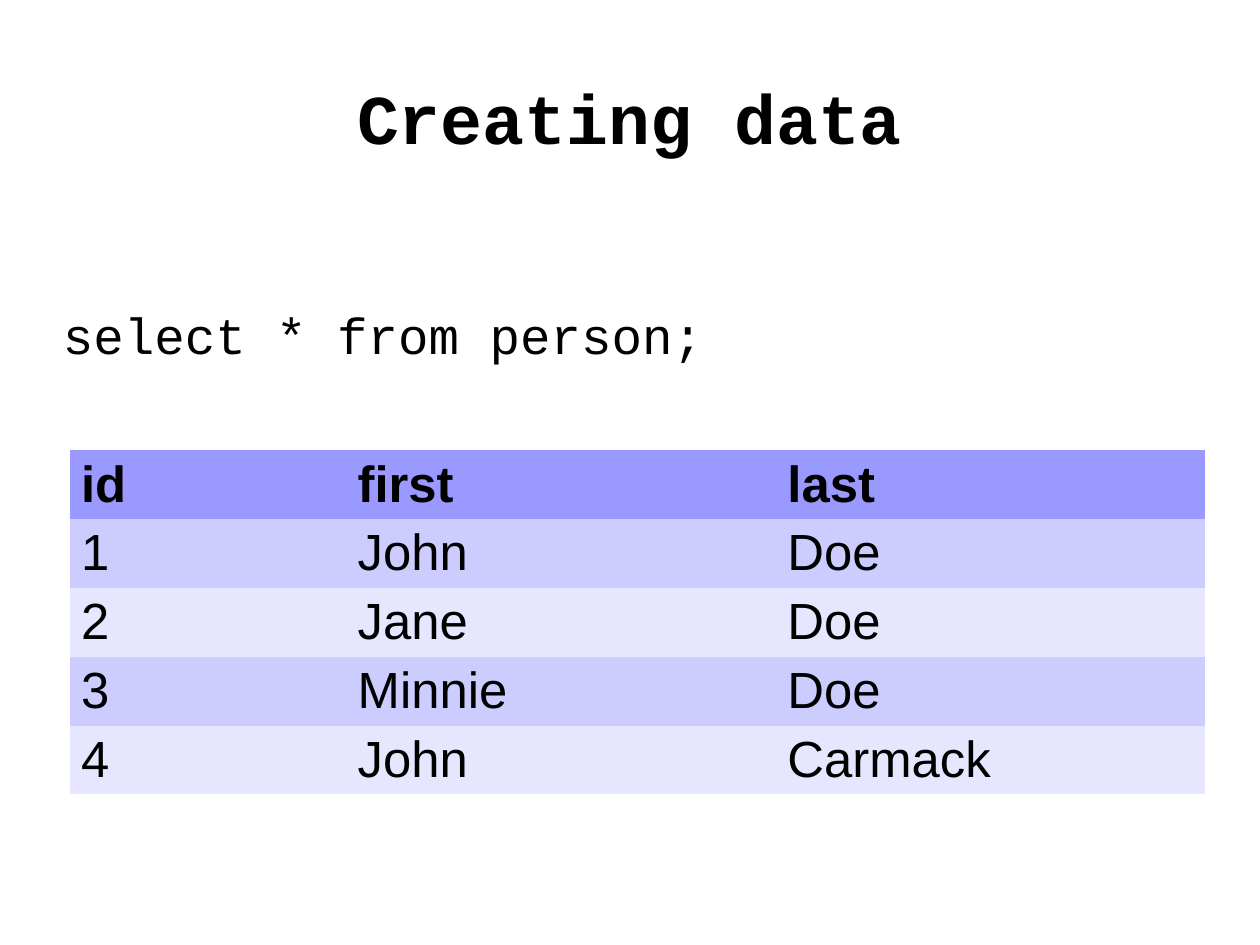
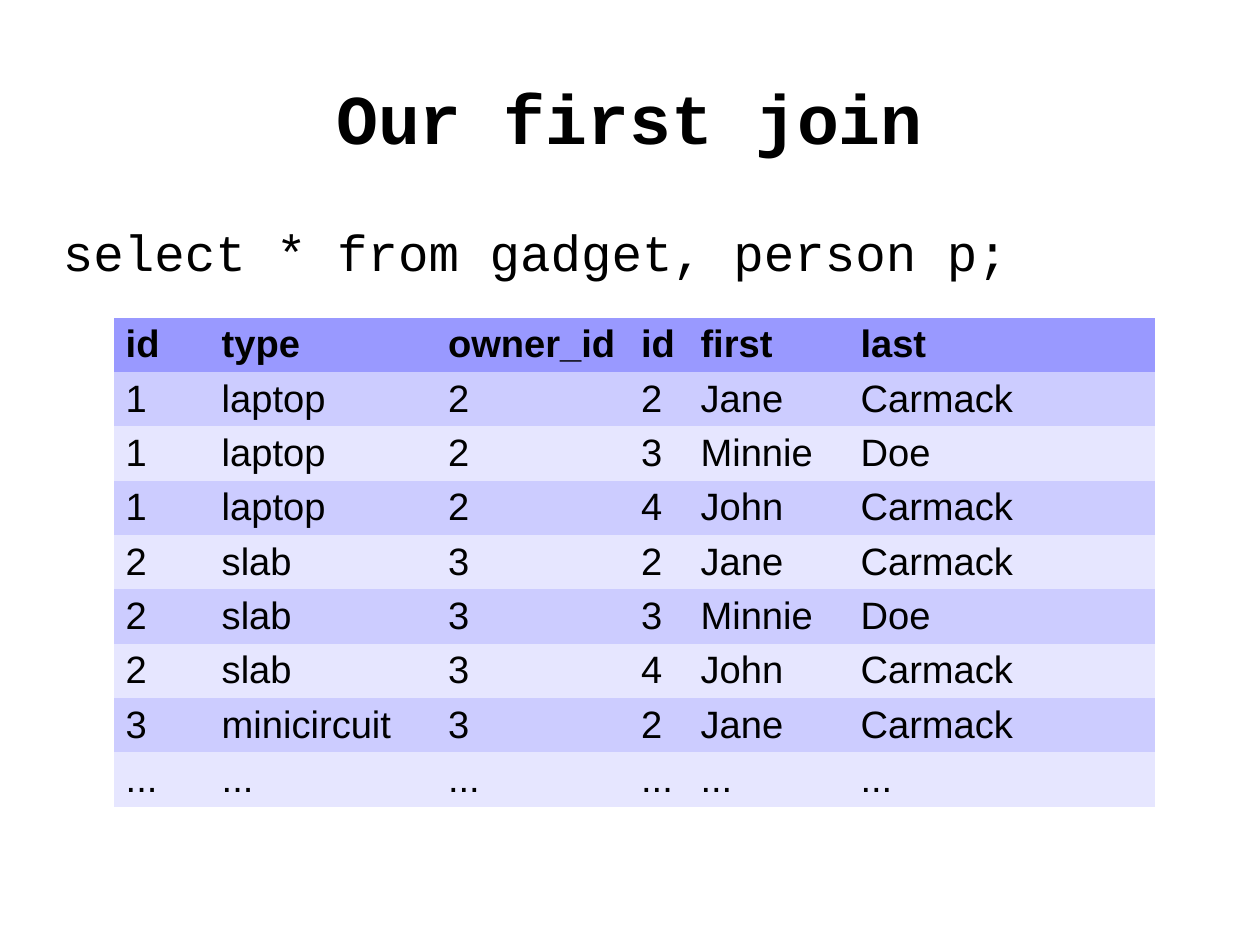
from dataclasses import dataclass

from pptx import Presentation
from pptx.dml.color import RGBColor
from pptx.enum.text import MSO_ANCHOR, PP_ALIGN
from pptx.util import Inches, Pt


@dataclass(frozen=True)
class Theme:
    ink: RGBColor = RGBColor.from_string("000000")
    header_fill: RGBColor = RGBColor.from_string("9999FF")
    row_fills: tuple = (RGBColor.from_string("CCCCFF"), RGBColor.from_string("E6E6FF"))
    code_font: str = "Courier New"
    table_font: str = "Arial"
    title_size: int = 44
    query_size: int = 32


THEME = Theme()
CENTIMETRES_PER_INCH = 2.54
PAGE_WIDTH, PAGE_HEIGHT = 28 / CENTIMETRES_PER_INCH, 21 / CENTIMETRES_PER_INCH
LEFT, WIDTH = 0.55, 9.92
TITLE_TOP, TITLE_HEIGHT = 0.33, 1.38

SLIDES = [
    {
        "title": "Creating data",
        "query": "select * from person;",
        "query_top": 2.66,
        "query_height": 1.22,
        "table_at": (0.61, 3.94),
        "columns": (2.42, 3.76, 3.75),
        "table_height": 3.01,
        "text_size": 32,
        "rows": [
            ("id", "first", "last"),
            ("1", "John", "Doe"),
            ("2", "Jane", "Doe"),
            ("3", "Minnie", "Doe"),
            ("4", "John", "Carmack"),
        ],
    },
    {
        "title": "Our first join",
        "query": "select * from gadget, person p;",
        "query_top": 1.93,
        "query_height": 0.82,
        "table_at": (1, 2.78),
        "columns": (0.84, 1.98, 1.69, 0.52, 1.4, 2.68),
        "table_height": 4.28,
        "text_size": 24,
        "rows": [
            ("id", "type", "owner_id", "id", "first", "last"),
            ("1", "laptop", "2", "2", "Jane", "Carmack"),
            ("1", "laptop", "2", "3", "Minnie", "Doe"),
            ("1", "laptop", "2", "4", "John", "Carmack"),
            ("2", "slab", "3", "2", "Jane", "Carmack"),
            ("2", "slab", "3", "3", "Minnie", "Doe"),
            ("2", "slab", "3", "4", "John", "Carmack"),
            ("3", "minicircuit", "3", "2", "Jane", "Carmack"),
            ("...",) * 6,
        ],
    },
]


def style_font(paragraph, name, size, bold=False):
    font = paragraph.font
    font.name, font.size, font.bold = name, Pt(size), bold
    font.color.rgb = THEME.ink


def fill_placeholder(box, text, top, height, size, anchor, align, bold=False):
    box.left, box.top = Inches(LEFT), Inches(top)
    box.width, box.height = Inches(WIDTH), Inches(height)
    frame = box.text_frame
    frame.text = text
    frame.word_wrap = True
    frame.vertical_anchor = anchor
    frame.margin_left = frame.margin_right = 0
    frame.margin_top = frame.margin_bottom = 0
    paragraph = frame.paragraphs[0]
    paragraph.alignment = align
    paragraph.space_before = Pt(0)
    style_font(paragraph, THEME.code_font, size, bold)
    return paragraph


def remove_bullet(paragraph):
    properties = paragraph._p.get_or_add_pPr()
    properties.set("marL", "0")
    properties.set("indent", "0")
    namespace = properties.nsmap["a"]
    bullet = properties.makeelement(f"{{{namespace}}}buNone")
    properties.find("{*}defRPr").addprevious(bullet)


def add_result_table(page, content):
    rows, columns = content["rows"], content["columns"]
    left, top = content["table_at"]
    table = page.shapes.add_table(
        len(rows), len(columns), Inches(left), Inches(top),
        Inches(sum(columns)), Inches(content["table_height"]),
    ).table
    for column, width in zip(table.columns, columns):
        column.width = Inches(width)
    for row_index, values in enumerate(rows):
        is_header = row_index == 0
        fill = THEME.header_fill if is_header else THEME.row_fills[(row_index - 1) % 2]
        for column_index, value in enumerate(values):
            cell = table.cell(row_index, column_index)
            cell.text = value
            cell.fill.solid()
            cell.fill.fore_color.rgb = fill
            style_font(cell.text_frame.paragraphs[0], THEME.table_font,
                       content["text_size"], is_header)
    style_id = table._tbl.tblPr.find("{*}tableStyleId")
    style_id.text = "{2D5ABB26-0587-4C30-8999-92F81FD0307C}"


def add_query_slide(deck, content):
    page = deck.slides.add_slide(deck.slide_layouts[1])
    fill_placeholder(page.shapes.title, content["title"], TITLE_TOP, TITLE_HEIGHT,
                     THEME.title_size, MSO_ANCHOR.MIDDLE, PP_ALIGN.CENTER, True)
    query = fill_placeholder(page.placeholders[1], content["query"],
                             content["query_top"], content["query_height"],
                             THEME.query_size, MSO_ANCHOR.TOP, PP_ALIGN.LEFT)
    query.space_after = Pt(14.2)
    remove_bullet(query)
    add_result_table(page, content)


def main():
    deck = Presentation()
    deck.slide_width, deck.slide_height = Inches(PAGE_WIDTH), Inches(PAGE_HEIGHT)
    for content in SLIDES:
        add_query_slide(deck, content)
    deck.save("out.pptx")


if __name__ == "__main__":
    main()
